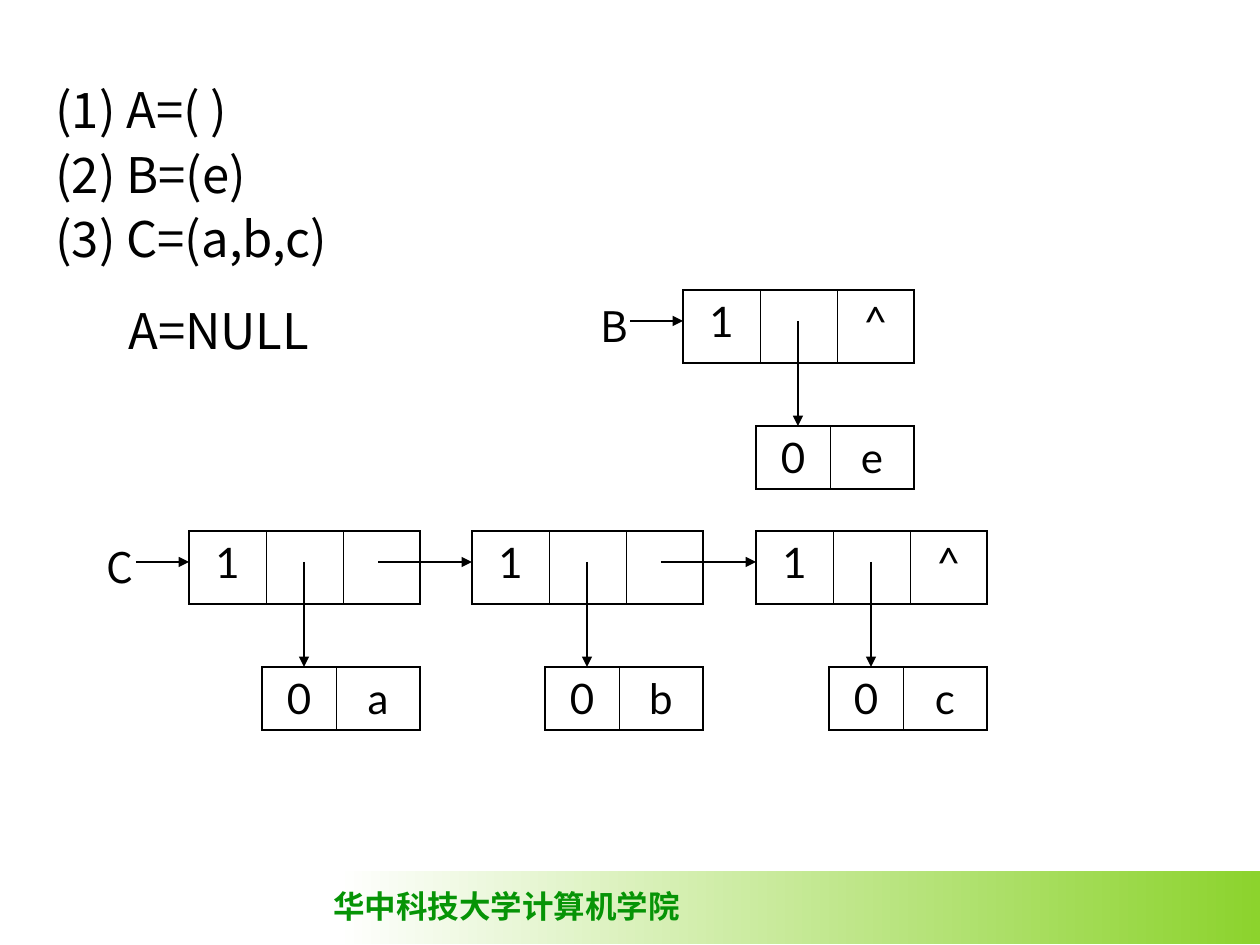
from lxml.etree import SubElement
from pptx import Presentation
from pptx.dml.color import RGBColor
from pptx.enum.shapes import MSO_CONNECTOR, MSO_SHAPE
from pptx.enum.text import PP_ALIGN
from pptx.oxml.ns import qn
from pptx.util import Emu, Pt

COLORS = {"ink": "000000", "white": "FFFFFF", "lime": "8CD32D", "green": "069406"}
CJK = "Noto Sans CJK SC"
NO_STYLE = "{2D5ABB26-0587-4C30-8999-92F81FD0307C}"
LIST_COLS = (77, 77, 77)
ATOM_COLS = (74, 84)


def px(n):
    return Emu(round(n * 914400 / 126))


def rgb(name):
    return RGBColor.from_string(COLORS[name])


class Deck:
    """Holds the style and the current slide, and draws each kind of element."""

    def __init__(self):
        self.prs = Presentation()
        self.prs.slide_width, self.prs.slide_height = px(1260), px(945)
        self.s = self.prs.slides.add_slide(self.prs.slide_layouts[6])

    def style(self, p, size, font, color="ink", bold=False):
        for r in p.runs:
            r.font.size, r.font.name, r.font.bold = Pt(size), font, bold
            r.font.color.rgb = rgb(color)
            SubElement(r.font._element, qn("a:ea")).set("typeface", CJK)

    def band(self, x, y, w, h):
        sp = self.s.shapes.add_shape(MSO_SHAPE.RECTANGLE, px(x), px(y), px(w), px(h))
        sp.shadow.inherit = False
        sp.line.fill.background()
        sp.fill.gradient()
        sp.fill.gradient_angle = 0
        for stop, color in zip(sp.fill.gradient_stops, ("white", "lime")):
            stop.color.rgb = rgb(color)

    def text(self, text, x, y, w, h, size, font=CJK, color="ink", bold=False, indent=0, wrap=True):
        tf = self.s.shapes.add_textbox(px(x), px(y), px(w), px(h)).text_frame
        tf.word_wrap = wrap
        tf.text = text
        for i, p in enumerate(tf.paragraphs):
            p.line_spacing = Pt(round(1.29 * size))
            p.space_before = Pt(1 if i else 0)
            if indent:
                p._p.get_or_add_pPr().set("marL", str(px(indent)))
            self.style(p, size, font, color, bold)

    def node(self, values, x, y, cols, h):
        frame = self.s.shapes.add_table(1, len(cols), px(x), px(y), px(sum(cols)), px(h))
        table = frame.table
        table.first_row = table.horz_banding = False
        table._tbl.tblPr.find(qn("a:tableStyleId")).text = NO_STYLE
        table.rows[0].height = px(h)
        last = len(cols) - 1
        for i, (value, width) in enumerate(zip(values, cols)):
            table.columns[i].width = px(width)
            cell = table.cell(0, i)
            cell.text = value
            p = cell.text_frame.paragraphs[0]
            p.alignment = PP_ALIGN.CENTER
            self.style(p, 24, "Lato")
            self.border(cell, "L", 0.45 if i else 1.08)
            self.border(cell, "R", 0.45 if i < last else 1.08)
            self.border(cell, "T", 1.08)
            self.border(cell, "B", 1.08)
            cell.fill.background()

    def border(self, cell, side, width):
        tcPr = cell._tc.get_or_add_tcPr()
        ln = SubElement(tcPr, qn(f"a:ln{side}"), w=str(Pt(width)))
        fill = SubElement(ln, qn("a:solidFill"))
        SubElement(fill, qn("a:srgbClr"), val=COLORS["ink"])

    def arrow(self, x1, y1, x2, y2):
        c = self.s.shapes.add_connector(MSO_CONNECTOR.STRAIGHT, px(x1), px(y1), px(x2), px(y2))
        c.line.width = Pt(0.75)
        c.line.color.rgb = rgb("ink")
        SubElement(c.line._get_or_add_ln(), qn("a:tailEnd"), type="triangle")
        SubElement(c._element.spPr, qn("a:effectLst"))

    def linked_list(self, name, atoms, x, y):
        self.text(name, x - 95, y, 53, 63, 24)
        self.arrow(x - 53, y + 31, x, y + 31)
        for i, atom in enumerate(atoms):
            left = x + i * 567 // 2
            is_last = i == len(atoms) - 1
            self.node(("1", "", "^" if is_last else ""), left, y, LIST_COLS, 73)
            self.node(("0", atom), left + 73, y + 136, ATOM_COLS, 63)
            self.arrow(left + 115, y + 31, left + 115, y + 136)
            if not is_last:
                self.arrow(left + 189, y + 31, x + (i + 1) * 567 // 2, y + 31)


def main():
    deck = Deck()
    deck.band(336, 871, 924, 73)
    deck.text("华中科技大学计算机学院", 321, 878, 372, 50, 18,
              font="Times New Roman", color="green", bold=True, wrap=False)
    deck.text("(1) A=( )\n(2) B=(e)\n(3) C=(a,b,c)", 21, 69, 470, 210, 28, indent=22)
    deck.text("A=NULL", 116, 290, 410, 72, 28)
    deck.linked_list("B", "e", 683, 290)
    deck.linked_list("C", "abc", 189, 531)
    deck.prs.save("out.pptx")


if __name__ == "__main__":
    main()
